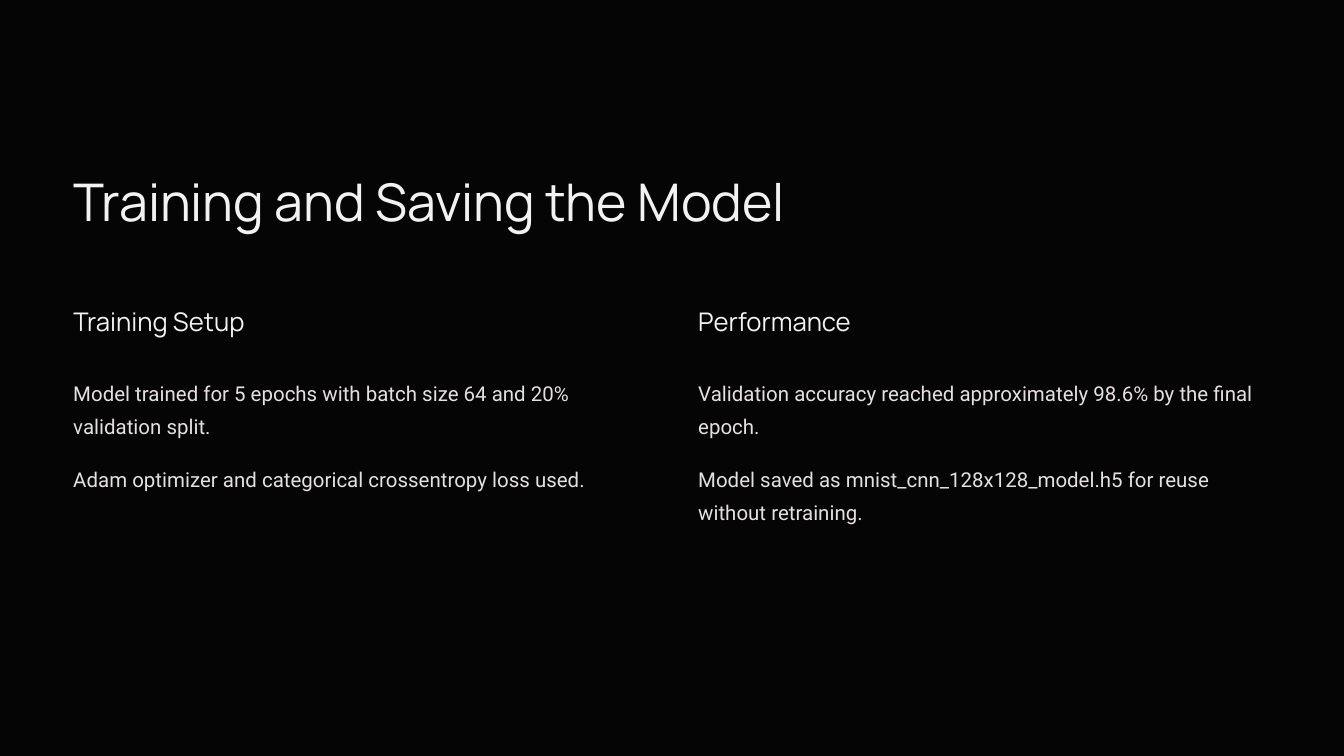
from pptx import Presentation
from pptx.dml.color import RGBColor
from pptx.enum.shapes import MSO_SHAPE
from pptx.util import Pt

WIDTH, HEIGHT = 1440, 810
BLACK = RGBColor(0x05, 0x05, 0x05)
WHITE = RGBColor(0xF2, 0xF2, 0xF3)
GREY = RGBColor(0xE5, 0xE0, 0xDF)

LEFT_COLUMN, RIGHT_COLUMN = 78.5, 748.1
HEADING_TOP = 326.2
BODY_TOPS = (398.9, 491)
BODY_LINE = 35.6

COLUMNS = [
    (LEFT_COLUMN, "Training Setup", [
        ("Model trained for 5 epochs with batch size 64 and 20% validation split.", 77),
        ("Adam optimizer and categorical crossentropy loss used.", 41),
    ]),
    (RIGHT_COLUMN, "Performance", [
        ("Validation accuracy reached approximately 98.6% by the final epoch.", 77),
        ("Model saved as mnist_cnn_128x128_model.h5 for reuse without retraining.", 77),
    ]),
]


class SlideBuilder:
    heading_font = "Manrope"
    body_font = "Roboto"

    def __init__(self, slide):
        self.slide = slide

    def backdrop(self, color):
        shape = self.slide.shapes.add_shape(
            MSO_SHAPE.RECTANGLE, 0, 0, Pt(WIDTH), Pt(HEIGHT))
        shape.shadow.inherit = False
        shape.fill.solid()
        shape.fill.fore_color.rgb = color
        shape.line.fill.background()

    def text(self, text, left, top, width, height, font, size, line, color):
        shape = self.slide.shapes.add_textbox(Pt(left), Pt(top), Pt(width), Pt(height))
        text_frame = shape.text_frame
        text_frame.word_wrap = True
        text_frame.margin_left = text_frame.margin_right = 0
        text_frame.margin_top = text_frame.margin_bottom = 0
        text_frame.text = text
        paragraph = text_frame.paragraphs[0]
        paragraph.line_spacing = Pt(line)
        run_font = paragraph.runs[0].font
        run_font.name = font
        run_font.size = Pt(size)
        run_font.color.rgb = color

    def title(self, text):
        self.text(text, LEFT_COLUMN, 178.6, 836.6, 113,
                  self.heading_font, 55.6, 69.4, WHITE)

    def heading(self, text, left):
        self.text(text, left, HEADING_TOP, 279.4, 56.2,
                  self.heading_font, 27.5, 34.4, WHITE)

    def body(self, text, left, top, height):
        self.text(text, left, top, 614.9, height,
                  self.body_font, 21.9, BODY_LINE, GREY)


def main():
    presentation = Presentation()
    presentation.slide_width = Pt(WIDTH)
    presentation.slide_height = Pt(HEIGHT)
    builder = SlideBuilder(presentation.slides.add_slide(presentation.slide_layouts[6]))
    builder.backdrop(BLACK)
    builder.title("Training and Saving the Model")
    for left, heading, bodies in COLUMNS:
        builder.heading(heading, left)
        for top, (text, height) in zip(BODY_TOPS, bodies):
            builder.body(text, left, top, height)
    presentation.save("out.pptx")


if __name__ == "__main__":
    main()
